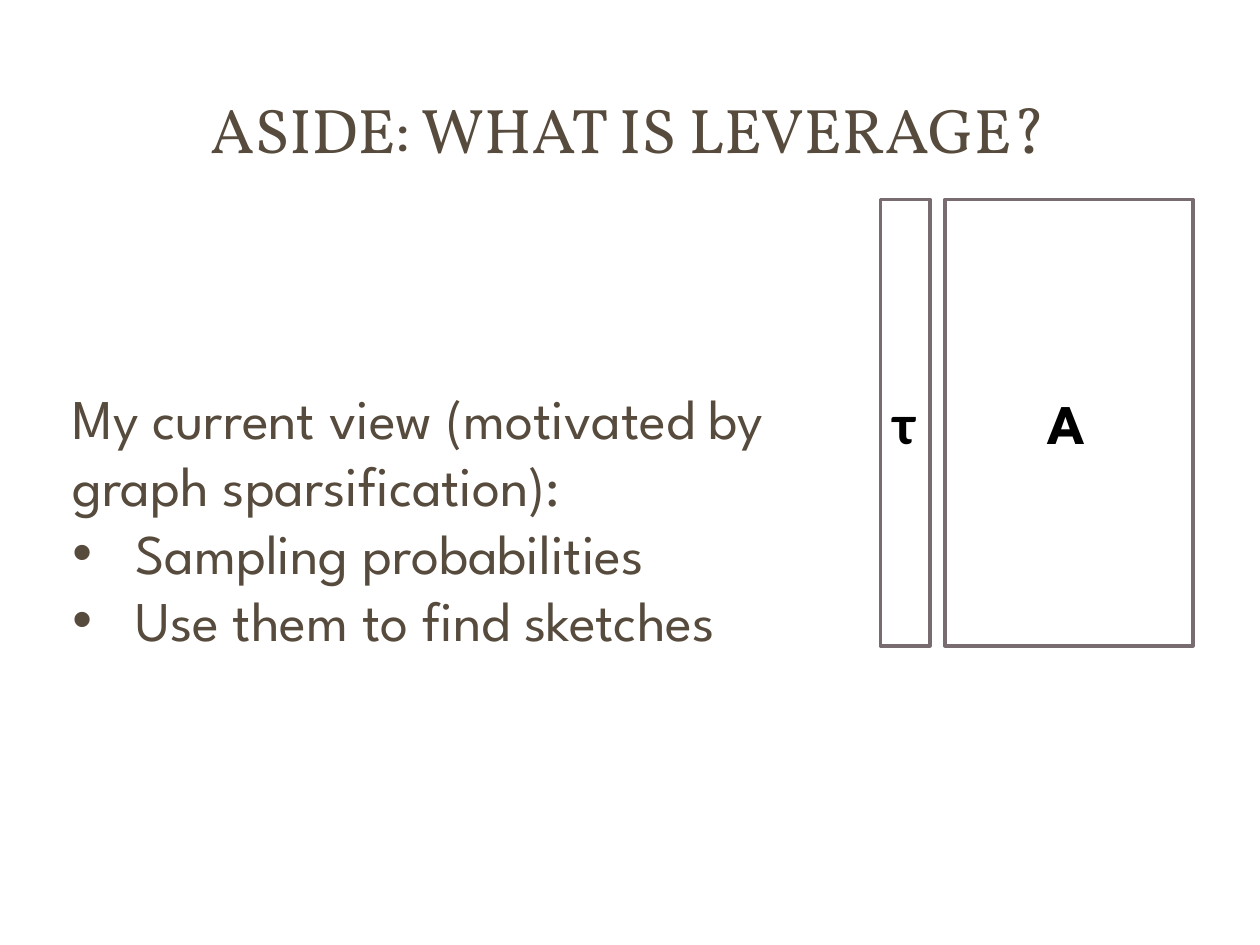
import pptx
import pptx.dml.color
import pptx.enum.shapes
import pptx.enum.text
import pptx.oxml
import pptx.oxml.ns
import pptx.util
from dataclasses import dataclass

Cm = pptx.util.Cm
Pt = pptx.util.Pt
SHAPES = pptx.enum.shapes.MSO_SHAPE


@dataclass(frozen=True)
class Theme:
    panel: str = "FFFFFF"
    text: str = "564B3C"
    label: str = "000000"
    outline: str = "786C71"
    title_font: str = "Vollkorn"
    body_font: str = "League Spartan"
    symbol_font: str = "Calibri"
    bullet_font: str = "Arial"
    title_size: int = 36
    body_size: int = 32


THEME = Theme()
INDENT = Cm(1.27)


def color(value):
    return pptx.dml.color.RGBColor.from_string(value)


def add_bullet(paragraph):
    properties = paragraph._p.get_or_add_pPr()
    properties.set("marL", str(INDENT))
    properties.set("indent", str(-INDENT))
    namespace = pptx.oxml.ns.nsdecls("a")
    for element in (f'<a:buFont {namespace} typeface="{THEME.bullet_font}"/>',
                    f'<a:buChar {namespace} char="•"/>'):
        properties.append(pptx.oxml.parse_xml(element))


def add_text(slide, text, left, top, width, height, *, bullets=(),
             font=THEME.body_font, size=THEME.body_size, fill=THEME.text,
             bold=False, align=pptx.enum.text.PP_ALIGN.LEFT,
             anchor=pptx.enum.text.MSO_ANCHOR.TOP, wrap=True):
    """Add a text box with a lead paragraph and optional bulleted lines."""
    shape = slide.shapes.add_textbox(Cm(left), Cm(top), Cm(width), Cm(height))
    frame = shape.text_frame
    frame.word_wrap = wrap
    frame.vertical_anchor = anchor
    frame.text = "\n".join([text, *bullets])
    for index, paragraph in enumerate(frame.paragraphs):
        if index:
            add_bullet(paragraph)
        paragraph.alignment = align
        paragraph.font.name = font
        paragraph.font.size = Pt(size)
        paragraph.font.bold = bold
        paragraph.font.color.rgb = color(fill)


def add_block(slide, left, top, width, height, *, kind=SHAPES.RECTANGLE,
              fill=None, line=None):
    """Add a flat shape with an optional fill and outline."""
    shape = slide.shapes.add_shape(
        kind, Cm(left), Cm(top), Cm(width), Cm(height))
    shape.shadow.inherit = False
    if fill:
        shape.fill.solid()
        shape.fill.fore_color.rgb = color(fill)
    else:
        shape.fill.background()
    if line:
        shape.line.color.rgb = color(line)
        shape.line.width = Pt(2)
    else:
        shape.line.fill.background()
    return shape


def main():
    presentation = pptx.Presentation()
    presentation.slide_width = Cm(25.4)
    presentation.slide_height = Cm(19.05)
    slide = presentation.slides.add_slide(presentation.slide_layouts[6])

    # Page panel and title frame
    page = add_block(slide, 0.25, 0.28, 24.89, 18.52,
                     kind=SHAPES.ROUNDED_RECTANGLE, fill=THEME.panel)
    page.adjustments[0] = 0.02
    add_block(slide, 0.76, 0.76, 23.88, 3.68, fill=THEME.panel)
    add_block(slide, 1.04, 1.04, 23.29, 3.1, fill=THEME.panel)

    # Title
    add_text(slide, "ASIDE: WHAT IS LEVERAGE?", 1.19, 1.14, 22.94, 2.9,
             font=THEME.title_font, size=THEME.title_size,
             align=pptx.enum.text.PP_ALIGN.CENTER,
             anchor=pptx.enum.text.MSO_ANCHOR.MIDDLE)

    # Explanation
    add_text(slide, "My current view (motivated by graph sparsification):",
             1.21, 7.61, 16.05, 5.79,
             bullets=["Sampling probabilities", "Use them to find sketches"])

    # Matrix A beside its column of leverage scores
    for left, width in ((19.05, 5.0), (17.75, 1.0)):
        add_block(slide, left, 4.02, width, 9.0, line=THEME.outline)
    for text, left, font in (("A", 20.86, THEME.body_font),
                             ("τ", 17.75, THEME.symbol_font)):
        add_text(slide, text, left, 7.71, 1.37, 1.63, font=font,
                 fill=THEME.label, bold=True, wrap=False)

    presentation.save("out.pptx")


if __name__ == "__main__":
    main()
